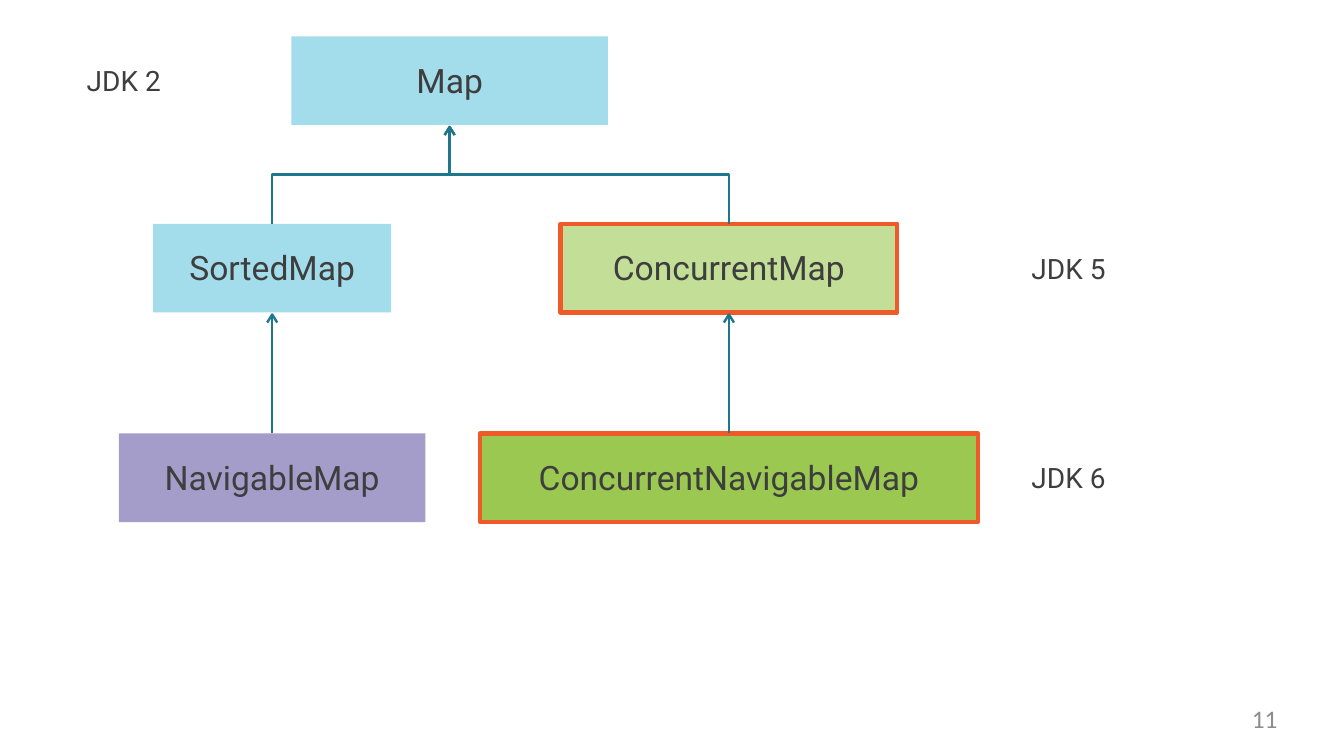
from pptx import Presentation
from pptx import util as u
from pptx.dml.color import RGBColor
from pptx.enum import shapes, text
from pptx.oxml.ns import qn
from lxml import etree

HUES = {"ink": "3E3E3E", "blue": "A3DCEB", "lime": "C3DE96", "green": "9BC850",
        "violet": "A49DCA", "edge": "F05A28", "arrow": "1F778D", "page": "8C8C8C"}
LEFT, RIGHT = 2.7, 7.23  # centres of the two branches
MID = 4.46  # centre of the Map box
ROWS = [0.36, 2.22, 4.3]
TALL = 0.88
GAP = 0.02  # space between arrow tip and box


def write(shape, words, size, align, hue="ink", font="Roboto", lift=0):
    """Put one line of formatted text in a shape, raised by lift inches."""
    frame = shape.text_frame
    frame.text = words
    frame.word_wrap = True
    frame.auto_size = text.MSO_AUTO_SIZE.NONE
    frame.vertical_anchor = text.MSO_ANCHOR.MIDDLE
    frame.margin_left = frame.margin_right = frame.margin_top = 0
    frame.margin_bottom = u.Inches(2 * lift)
    line = frame.paragraphs[0]
    line.alignment = align
    run = line.runs[0].font
    run.size, run.name = u.Pt(size), font
    run.color.rgb = RGBColor.from_string(HUES[hue])


def trace(spots):
    """Draw an open line through points given in inches."""
    spots = [(u.Inches(x), u.Inches(y)) for x, y in spots]
    if len(spots) == 2:
        line = slide.shapes.add_connector(
            shapes.MSO_CONNECTOR.STRAIGHT, *spots[0], *spots[1])
    else:
        pen = slide.shapes.build_freeform(*spots[0])
        pen.add_line_segments(spots[1:], close=False)
        line = pen.convert_to_shape()
        line.fill.background()
    line.line.color.rgb = RGBColor.from_string(HUES["arrow"])
    line.line.width = u.Pt(1.74)
    etree.SubElement(line._element.spPr, qn("a:effectLst"))


prs = Presentation()
prs.slide_width, prs.slide_height = u.Inches(13.33), u.Inches(7.5)
slide = prs.slides.add_slide(prs.slide_layouts[5])
align = text.PP_ALIGN

# Interfaces: name, centre, row, width, fill, outlined
boxes = [
    ("Map", MID, 0, 3.14, "blue", False),
    ("SortedMap", LEFT, 1, 2.36, "blue", False),
    ("ConcurrentMap", RIGHT, 1, 3.34, "lime", True),
    ("NavigableMap", LEFT, 2, 3.04, "violet", False),
    ("ConcurrentNavigableMap", RIGHT, 2, 4.94, "green", True),
]
for name, mid, row, wide, hue, edged in boxes:
    box = slide.shapes.add_shape(
        shapes.MSO_SHAPE.RECTANGLE, u.Inches(mid - wide / 2), u.Inches(ROWS[row]),
        u.Inches(wide), u.Inches(TALL))
    box.shadow.inherit = False
    box.fill.solid()
    box.fill.fore_color.rgb = RGBColor.from_string(HUES[hue])
    if edged:
        box.line.color.rgb = RGBColor.from_string(HUES["edge"])
        box.line.width = u.Pt(3)
    else:
        box.line.fill.background()
    write(box, name, 24, align.CENTER, lift=0.01)

# Each branch: a bent arrow up to Map, a straight one from the bottom row
bend = (ROWS[0] + TALL + ROWS[1]) / 2
tips = [top + TALL + GAP for top in ROWS]
for mid in (LEFT, RIGHT):
    bent = [(mid, ROWS[1]), (mid, bend), (MID, bend), (MID, tips[0])]
    stem = [(mid, ROWS[2]), (mid, tips[1])]
    for route in (bent, stem):
        trace(route)
        x, y = route[-1]
        trace([(x - 0.05, y + 0.08), (x, y), (x + 0.05, y + 0.08)])

# Version labels, centred on their rows; the first is the title
high = 0.36
for num, left, row in [(2, 0.86, 0), (5, 10.23, 1), (6, 10.23, 2)]:
    spot = [u.Inches(n) for n in (left, ROWS[row] + (TALL - high) / 2, 0.78, high)]
    if row == 0:
        label = slide.shapes.title
        label.left, label.top, label.width, label.height = spot
    else:
        label = slide.shapes.add_textbox(*spot)
    write(label, f"JDK {num}", 20, align.LEFT)

page = slide.shapes.add_textbox(u.Inches(9.6), u.Inches(6.97), u.Inches(3.07), u.Inches(0.38))
write(page, "11", 18, align.RIGHT, "page", "Calibri", 0.03)

prs.save("out.pptx")
